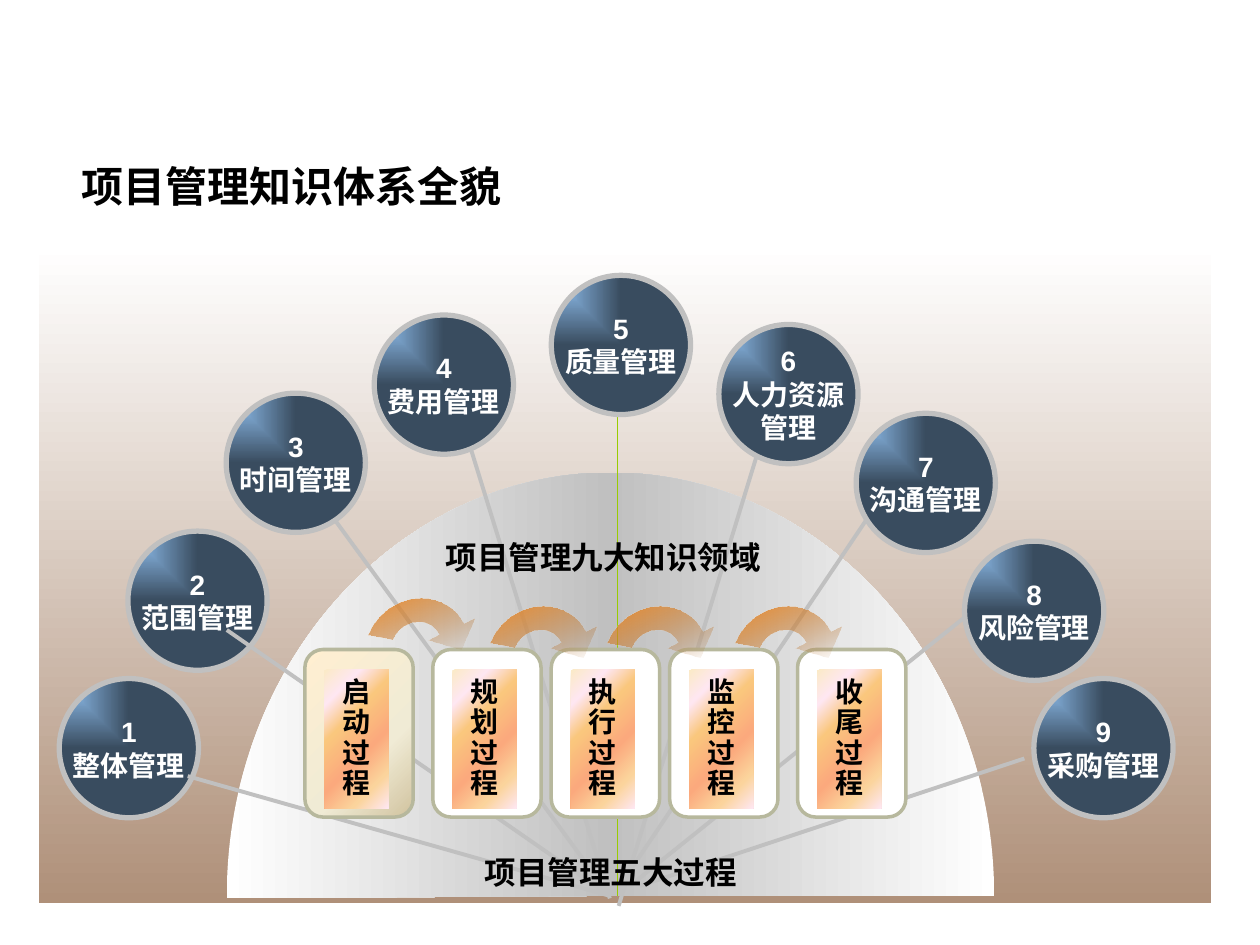
from lxml.etree import SubElement
from pptx import Presentation
from pptx.dml.color import RGBColor
from pptx.enum.shapes import MSO_CONNECTOR, MSO_SHAPE
from pptx.enum.text import MSO_ANCHOR, PP_ALIGN
from pptx.oxml import parse_xml
from pptx.oxml.ns import nsdecls, qn
from pptx.util import Inches, Pt

COLS, ROWS = 100, 75
GREY, WHITE, BLACK = "C0C0C0", "FFFFFF", "000000"
CORNER = ('<a:path path="rect"><a:fillToRect r="100000" b="100000"/>'
          '</a:path>')
DIM = '<a:gamma/><a:shade val="{}"/>{}<a:invGamma/>'
BALL = [(0, "99CCFF", ""), (100, "99CCFF", DIM.format(37255, ""))]
BEND = [(0, "FF9933", ""),
        (100, "FF9933", DIM.format(46275, '<a:alpha val="0"/>'))]
CREAM = [(0, "FFEFD1", ""), (65, "F0EBD5", ""), (100, "D1C39F", "")]
PEACH = [(0, "FBEAC7", ""), (18, "FEE7F2", ""), (36, "FAC77D", ""),
         (61, "FBA97D", ""), (82, "FBD49C", ""), (100, "FEE7F2", "")]
HAZE = [(0, WHITE, ""), (100, "AF9079", "")]
SHEEN = [(0, WHITE, ""), (50, GREY, ""), (100, WHITE, "")]

DOME = [[(0, 33.8)],
        [(0, 33.8), (0, 33.7), (0, 33.6)],
        [(0, 15.1), (13.6, 0), (30.45, 0)],
        [(47.3, 0), (60.9, 15.1), (60.9, 33.6)],
        [(30.45, 33.6)]]
ARROW = [[(6, 3.6)],
         [(6, 2.6), (5.15, 1.8), (4.05, 1.8)],
         [(3.45, 1.8), (2.87, 2.03), (2.5, 2.42)],
         [(0.92, 1.26)],
         [(1.7, 0.46), (2.85, 0), (4.05, 0)],
         [(6.25, 0), (8.1, 1.6), (8.1, 3.6)],
         [(9.1, 3.6)], [(7.05, 5.42)], [(5, 3.6)]]

BACK = [(61.4, 31.8, 49.1, 71.9), (36, 31.2, 48.4, 71.3),
        (23.6, 37.2, 48.4, 71.1)]
FRONT = [(68.8, 41.2, 49.2, 70.3), (77.3, 48.4, 50, 70.3),
         (81.3, 60.2, 50.8, 70.3), (18, 50, 48.4, 71.1),
         (14.9, 61.6, 48.4, 71.1)]
LEFT = [(10.15, 42.15, "2", "范围管理"), (17.95, 31.2, "3", "时间管理"),
        (29.7, 25, "4", "费用管理"), (4.7, 53.85, "1", "整体管理")]
RIGHT = [(57.05, 25.75, "6", "人力资源", "管理"),
         (43.75, 21.85, "5", "质量管理"), (67.95, 32.8, "7", "沟通管理"),
         (76.55, 42.95, "8", "风险管理"), (82.05, 53.85, "9", "采购管理")]
CARDS = [(34.35, "规划过程"), (24.2, "启动过程"), (43.75, "执行过程"),
         (53.15, "监控过程"), (63.3, "收尾过程")]
BENDS = [(29.05, 47.6), (38.7, 48.2), (48.05, 48.2), (58.2, 48.2)]


def cell(num):
    """Turn grid columns or rows into a length."""
    return Inches(num / 10)


def tint(code):
    """Turn a hex string into a colour."""
    return RGBColor.from_string(code)


def blend(shape, stops, way):
    """Fill a shape with a gradient, by angle or from the corner."""
    shape.fill.solid()
    old = shape.element.spPr.find(qn("a:solidFill"))
    marks = "".join(f'<a:gs pos="{at * 1000}"><a:srgbClr val="{code}">{mod}'
                    f'</a:srgbClr></a:gs>' for at, code, mod in stops)
    aim = way if way == CORNER else f'<a:lin ang="{way * 60000}" scaled="0"/>'
    new = parse_xml(f'<a:gradFill {nsdecls("a")} rotWithShape="1"><a:gsLst>'
                    f'{marks}</a:gsLst>{aim}</a:gradFill>')
    old.getparent().replace(old, new)


def edge(shape, code=None, width=1):
    """Drop the shadow and set or clear the outline."""
    shape.shadow.inherit = False
    if code:
        shape.line.color.rgb = tint(code)
        shape.line.width = Pt(width)
    else:
        shape.line.fill.background()


def block(shapes, kind, box):
    """Add a preset shape on the grid."""
    return shapes.add_shape(kind, *map(cell, box))


def write(frame, lines, size, code, align, face="Arial"):
    """Write bold lines, one run to a paragraph."""
    for pos, line in enumerate(lines):
        para = frame.add_paragraph() if pos else frame.paragraphs[0]
        para.alignment = align
        run = para.add_run()
        run.text = line
        run.font.size = Pt(size)
        run.font.bold = True
        run.font.name = face
        run.font.color.rgb = tint(code)


def label(shapes, box, text, size=18, face="Arial", hold=MSO_ANCHOR.MIDDLE):
    """Add a plain text box."""
    frame = shapes.add_textbox(*map(cell, box)).text_frame
    frame.word_wrap = True
    frame.vertical_anchor = hold
    write(frame, [text], size, BLACK, PP_ALIGN.LEFT, face)


def spoke(shapes, ends, code=GREY, width=2.25):
    """Add a straight line between two grid points."""
    line = shapes.add_connector(MSO_CONNECTOR.STRAIGHT, *map(cell, ends))
    line.line.color.rgb = tint(code)
    line.line.width = Pt(width)
    SubElement(line.element.spPr, qn("a:effectLst"))


def curve(shapes, box, steps, stops, way, turn=0):
    """Add a filled outline of lines and curves inside a box."""
    left, top, wide, high = map(cell, box)
    pen = shapes.build_freeform(left, top)
    pen.add_line_segments([(left + wide, top), (left + wide, top + high),
                           (left, top + high)])
    shape = pen.convert_to_shape()
    trail = next(shape.element.iter(qn("a:path")))
    for child in list(trail):
        trail.remove(child)
    for pos, step in enumerate(steps):
        kind = "cubicBezTo" if len(step) == 3 else "lnTo"
        move = SubElement(trail, qn(f"a:{kind if pos else 'moveTo'}"))
        for x, y in step:
            SubElement(move, qn("a:pt"), x=str(cell(x)), y=str(cell(y)))
    SubElement(trail, qn("a:close"))
    shape.rotation = turn
    blend(shape, stops, way)
    edge(shape)


def ball(shapes, left, top, *lines):
    """Add a numbered knowledge area."""
    shape = block(shapes, MSO_SHAPE.OVAL, (left, top, 11.05, 11.05))
    blend(shape, BALL, CORNER)
    edge(shape, GREY, 3)
    frame = shape.text_frame
    frame.word_wrap = False
    frame.vertical_anchor = MSO_ANCHOR.MIDDLE
    write(frame, lines, 16, WHITE, PP_ALIGN.CENTER)


def card(shapes, left, text, first):
    """Add a process card with its upright label."""
    group = shapes.add_group_shape().shapes
    back = block(group, MSO_SHAPE.ROUNDED_RECTANGLE, (left, 51.55, 8.6, 13.3))
    if first:
        blend(back, CREAM, 45)
    else:
        back.fill.solid()
        back.fill.fore_color.rgb = tint(WHITE)
    edge(back, "B7B89D", 2)
    face = block(group, MSO_SHAPE.RECTANGLE, (left + 1.55, 53.15, 5.1, 11))
    blend(face, PEACH, 45)
    edge(face)
    frame = face.text_frame
    frame.word_wrap = True
    frame.vertical_anchor = MSO_ANCHOR.MIDDLE
    frame.margin_left = frame.margin_right = cell(0.7)
    frame.margin_top = frame.margin_bottom = cell(0.7)
    write(frame, [text], 16, BLACK, PP_ALIGN.CENTER)
    frame.paragraphs[0].line_spacing = 0.9


def main():
    """Build the slide and save it."""
    deck = Presentation()
    deck.slide_width, deck.slide_height = cell(COLS), cell(ROWS)
    shapes = deck.slides.add_slide(deck.slide_layouts[6]).shapes
    floor = block(shapes, MSO_SHAPE.RECTANGLE, (3.1, 19.5, 93, 52.15))
    blend(floor, HAZE, 90)
    edge(floor)
    curve(shapes, (18, 37.5, 60.9, 33.8), DOME, SHEEN, 0)
    spoke(shapes, (49, 29.2, 49, 71.1), "99CC00", 0.75)
    for ends in BACK:
        spoke(shapes, ends)
    for item in LEFT:
        ball(shapes, *item)
    for ends in FRONT:
        spoke(shapes, ends)
    label(shapes, (34.4, 42.2, 28.1, 4), "项目管理九大知识领域")
    for left, text in CARDS:
        card(shapes, left, text, text == "启动过程")
    for left, top in BENDS:
        curve(shapes, (left, top, 8.1, 7.3), ARROW, BEND, 90, 335.1)
    for item in RIGHT:
        ball(shapes, *item)
    label(shapes, (37.5, 67.2, 22.7, 4), "项目管理五大过程")
    label(shapes, (5.5, 11.7, 35.9, 5.5), "项目管理知识体系全貌", 24,
          "Times New Roman", MSO_ANCHOR.BOTTOM)
    deck.save("out.pptx")


if __name__ == "__main__":
    main()
